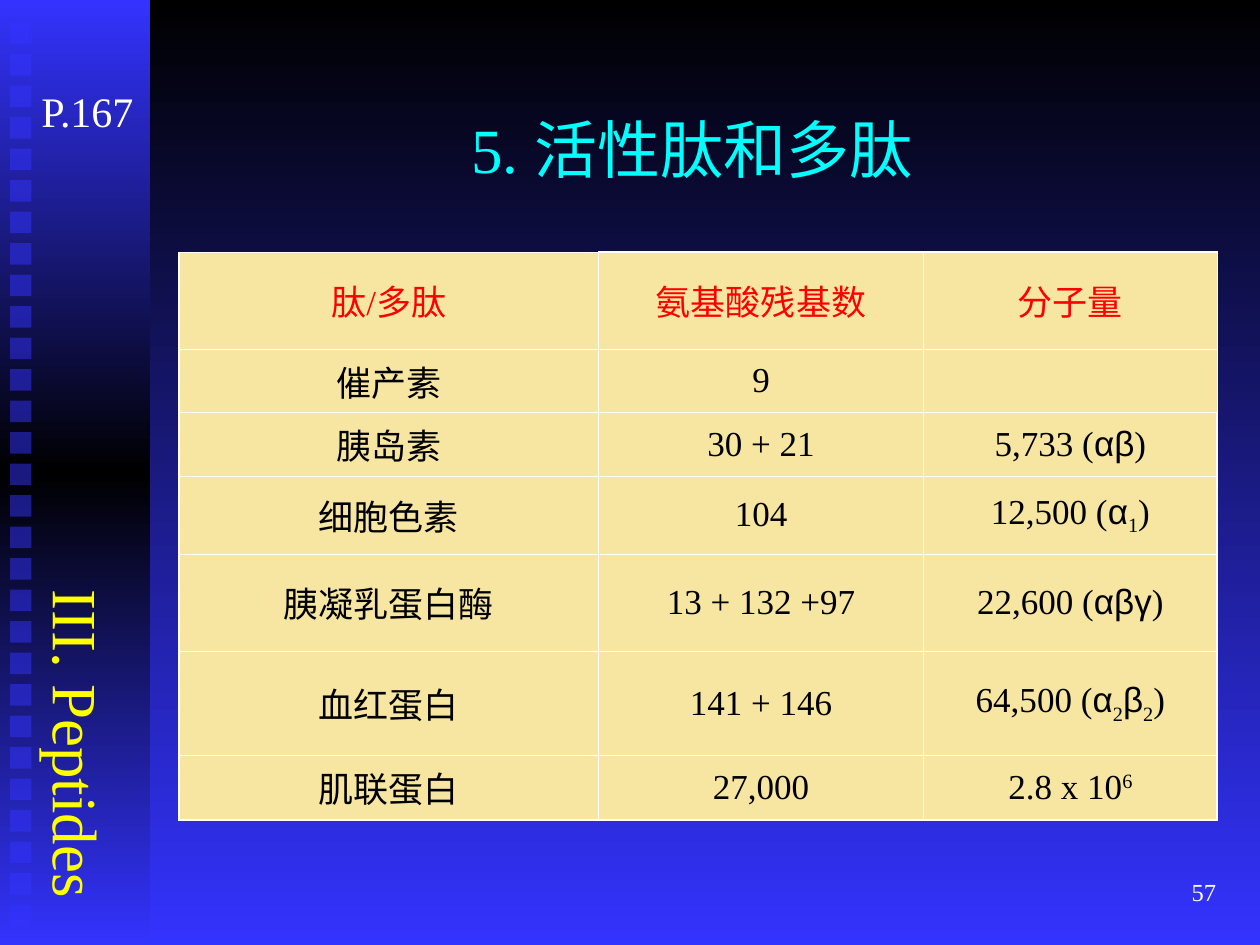
from copy import deepcopy

from lxml.etree import SubElement
from pptx import Presentation
from pptx.dml.color import RGBColor
from pptx.enum.shapes import MSO_SHAPE as Shape
from pptx.enum.text import MSO_ANCHOR as Anchor, MSO_AUTO_SIZE as AutoSize, PP_ALIGN as Align
from pptx.oxml.ns import qn
from pptx.util import Inches, Pt

BLUE, BLACK, WHITE = "3333FF", "000000", "FFFFFF"
CYAN, YELLOW, RED, CREAM = "00FFFF", "FFFF00", "FF0000", "F6E6A2"
LATIN, CHINESE, GREEK = "Times New Roman", "Noto Sans CJK SC", "Arial"

COLUMN_WIDTHS = [3.33, 2.58, 2.33]
ROW_HEIGHTS = [0.77, 0.48, 0.5, 0.62, 0.77, 0.83, 0.51]
# "|" separates runs; a leading "_" or "^" marks a subscript or superscript.
ROWS = [
    ["肽/多肽", "氨基酸残基数", "分子量"],
    ["催产素", "9", ""],
    ["胰岛素", "30 + 21", "5,733 (|αβ|)"],
    ["细胞色素", "104", "12,500 (|α|_1|)"],
    ["胰凝乳蛋白酶", "13 + 132 +97", "22,600 (|αβγ|)"],
    ["血红蛋白", "141 + 146", "64,500 (|α|_2|β|_2|)"],
    ["肌联蛋白", "27,000", "2.8 x 10|^6"],
]
BASELINES = {"_": "-25000", "^": "30000"}


def color(hex_string):
    return RGBColor.from_string(hex_string)


def format_run(run, size, hex_color, font=LATIN):
    run.font.size = Pt(size)
    run.font.bold = False
    run.font.color.rgb = color(hex_color)
    run.font.name = font
    SubElement(run.font._element, qn("a:ea"), typeface=CHINESE)


def set_gradient(fill, owner, colors):
    """Fill from top to bottom with evenly spaced colours; owner is the element holding the fill."""
    fill.gradient()
    fill.gradient_angle = 270
    stop_list = owner.find(".//" + qn("a:gsLst"))
    for _ in colors[2:]:
        stop_list.append(deepcopy(stop_list[-1]))
    for index, (stop, hex_color) in enumerate(zip(fill.gradient_stops, colors)):
        stop.position = index / (len(colors) - 1)
        stop.color.rgb = color(hex_color)


def add_rectangle(slide, left, top, width, height):
    shape = slide.shapes.add_shape(
        Shape.RECTANGLE, Inches(left), Inches(top), Inches(width), Inches(height))
    shape.shadow.inherit = False
    shape.line.fill.background()
    return shape


def add_sidebar(slide):
    band = add_rectangle(slide, 0, 0, 1.19, 7.5)
    set_gradient(band.fill, band.element, [BLUE, BLACK, BLUE])
    for index in range(29):
        square = add_rectangle(slide, 0.08, 0.18 + 0.25 * index, 0.17, 0.17)
        square.fill.solid()
        square.fill.fore_color.rgb = color(BLUE)
        rgb = square.element.spPr.find(".//" + qn("a:srgbClr"))
        SubElement(rgb, qn("a:alpha"), val="50000")


def add_title(slide, text):
    title = slide.shapes.title
    title.left, title.top = Inches(1.53), Inches(0.83)
    title.width, title.height = Inches(7.92), Inches(1)
    frame = title.text_frame
    frame.text = text
    frame.auto_size = AutoSize.NONE
    frame.vertical_anchor = Anchor.TOP
    frame.paragraphs[0].alignment = Align.CENTER
    format_run(frame.paragraphs[0].runs[0], 36, CYAN)


def add_label(slide, text, left, top, width, height, size, hex_color):
    box = slide.shapes.add_textbox(Inches(left), Inches(top), Inches(width), Inches(height))
    frame = box.text_frame
    frame.text = text
    frame.word_wrap = False
    frame.auto_size = AutoSize.SHAPE_TO_FIT_TEXT
    format_run(frame.paragraphs[0].runs[0], size, hex_color)
    return frame


def add_vertical_label(slide, *arguments):
    frame = add_label(slide, *arguments)
    frame.margin_left = frame.margin_right = Inches(0.05)
    frame.margin_top = frame.margin_bottom = Inches(0.1)
    frame._txBody.bodyPr.set("vert", "eaVert")


def add_page_number(slide, text):
    frame = add_label(slide, text, 7.67, 6.83, 2.08, 0.5, 14, WHITE)
    frame.word_wrap = True
    frame.auto_size = AutoSize.NONE
    frame.vertical_anchor = Anchor.MIDDLE
    frame.paragraphs[0].alignment = Align.RIGHT


def fill_cell_text(cell, text, hex_color, font):
    paragraph = cell.text_frame.paragraphs[0]
    paragraph.alignment = Align.CENTER
    for part in filter(None, text.split("|")):
        run = paragraph.add_run()
        run.text = part.lstrip("_^")
        format_run(run, 20, hex_color, GREEK if part[0] in "αβγ" else font)
        if part[0] in BASELINES:
            run.font._element.set("baseline", BASELINES[part[0]])


def set_borders(cell, outer_sides):
    properties = cell._tc.get_or_add_tcPr()
    for index, side in enumerate("LRTB"):
        width = Pt(1.08 if side in outer_sides else 0.45)
        line = SubElement(properties, qn("a:ln" + side), w=str(width))
        properties.insert(index, line)
        SubElement(SubElement(line, qn("a:solidFill")), qn("a:srgbClr"), val=WHITE)


def add_peptide_table(slide):
    table = slide.shapes.add_table(
        len(ROWS), len(COLUMN_WIDTHS), Inches(1.42), Inches(2),
        Inches(sum(COLUMN_WIDTHS)), Inches(sum(ROW_HEIGHTS))).table
    table.first_row = table.horz_banding = False
    for column, width in zip(table.columns, COLUMN_WIDTHS):
        column.width = Inches(width)
    for row, height in zip(table.rows, ROW_HEIGHTS):
        row.height = Inches(height)
    last_row, last_column = len(ROWS) - 1, len(COLUMN_WIDTHS) - 1
    for i, texts in enumerate(ROWS):
        for j, text in enumerate(texts):
            cell = table.cell(i, j)
            cell.vertical_anchor = Anchor.MIDDLE
            cell.fill.solid()
            cell.fill.fore_color.rgb = color(CREAM)
            edges = {"L": j == 0, "R": j == last_column and i > 1,
                     "T": i == 0 and j > 0, "B": i == last_row}
            set_borders(cell, [side for side, outer in edges.items() if outer])
            fill_cell_text(cell, text, BLACK if i else RED, CHINESE if i and j == 0 else LATIN)


def main():
    presentation = Presentation()
    presentation.slide_width, presentation.slide_height = Inches(10), Inches(7.5)
    slide = presentation.slides.add_slide(presentation.slide_layouts[5])
    set_gradient(slide.background.fill, slide.element, [BLACK, BLUE])
    add_sidebar(slide)
    add_page_number(slide, "57")
    add_title(slide, "5. 活性肽和多肽")
    add_peptide_table(slide)
    add_vertical_label(slide, "III. Peptides", 0.17, 4.58, 0.8, 2.55, 36, YELLOW)
    add_label(slide, "P.167", 0.23, 0.63, 0.97, 0.5, 24, WHITE)
    presentation.save("out.pptx")


if __name__ == "__main__":
    main()
